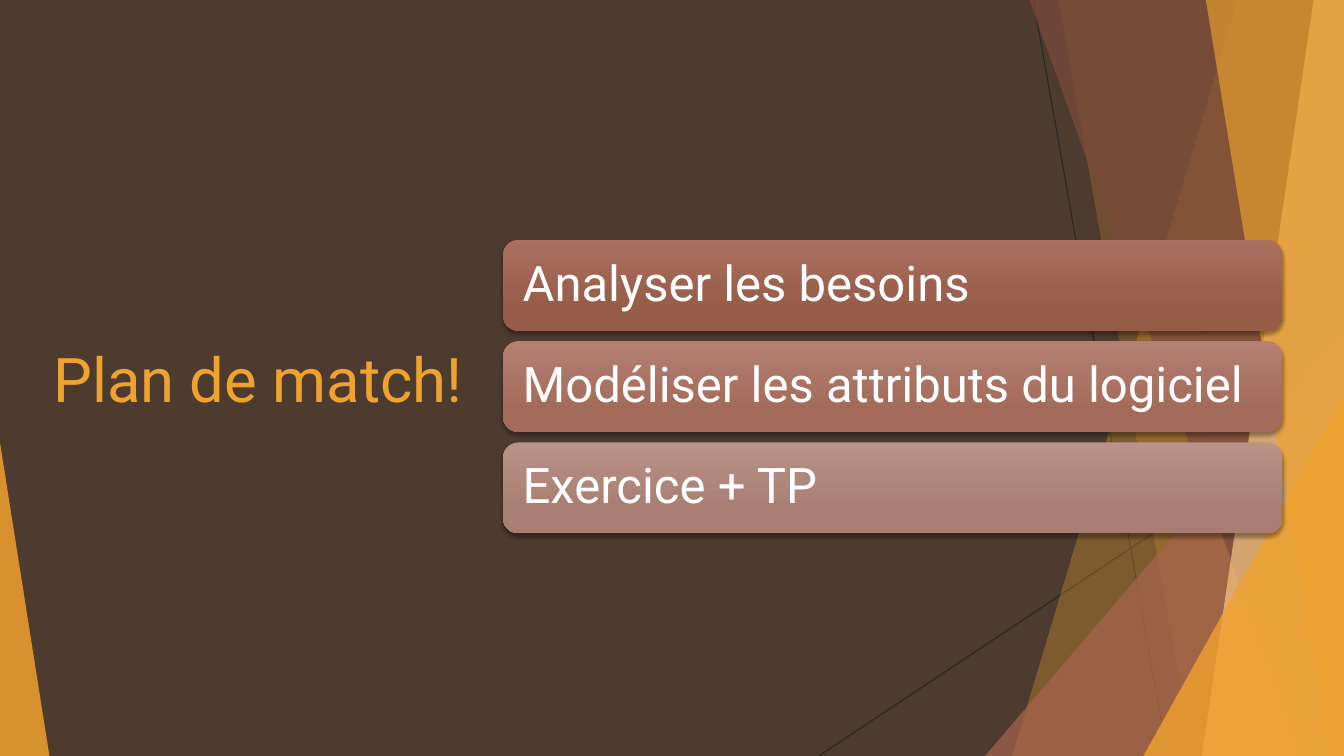
from dataclasses import dataclass

from lxml import etree
from pptx import Presentation
from pptx.dml.color import RGBColor
from pptx.enum.shapes import MSO_CONNECTOR, MSO_SHAPE
from pptx.enum.text import MSO_ANCHOR, PP_ALIGN
from pptx.oxml.ns import qn
from pptx.util import Inches, Pt

STRAIGHT = MSO_CONNECTOR.STRAIGHT
TRIANGLE = MSO_SHAPE.ISOSCELES_TRIANGLE
ROUNDED = MSO_SHAPE.ROUNDED_RECTANGLE
MIDDLE = MSO_ANCHOR.MIDDLE
LEFT = PP_ALIGN.LEFT
WIDTH, HEIGHT = Inches(13.33), Inches(7.5)


@dataclass(frozen=True)
class Theme:
    """Colours, font and type sizes of the slide."""
    ground: str = "4E3B30"
    amber: str = "F0A22E"
    pale_amber: str = "F6C782"
    rust: str = "A5644E"
    dark_rust: str = "7C4B3B"
    hairline: str = "262626"
    white: str = "FFFFFF"
    shadow: str = "000000"
    font: str = "Roboto"
    title_size: int = 44
    step_size: int = 35


THEME = Theme()
STEPS = [
    ("Analyser les besoins", "AA705F", "975C47"),
    ("Modéliser les attributs du logiciel", "B38072", "A36A59"),
    ("Exercice + TP", "B99288", "A97D71"),
]
STEP_LEFT, STEP_TOP, STEP_WIDTH, STEP_HEIGHT, STEP_PITCH = 37.43, 31.73, 57.99, 12, 13.4


def across(share):
    """Turn a percentage of the slide's width into a length."""
    return round(WIDTH * share / 100)


def down(share):
    """Turn a percentage of the slide's height into a length."""
    return round(HEIGHT * share / 100)


def frame(left, top, width, height):
    """Turn four shares of the slide into a position and size."""
    return across(left), down(top), across(width), down(height)


def assign(target, values):
    """Set each named attribute on the target."""
    for name, value in values.items():
        setattr(target, name, value)


def tint(shape, color, opacity):
    """Give a shape a translucent fill without outline or shadow."""
    shape.shadow.inherit = False
    shape.line.fill.background()
    shape.fill.solid()
    shape.fill.fore_color.rgb = RGBColor.from_string(color)
    swatch = shape.fill._xPr.find(f".//{qn('a:srgbClr')}")
    etree.SubElement(swatch, qn("a:alpha"), val=str(opacity * 1000))


def add_hairline(slide, start_x, start_y, end_x, end_y):
    """Draw a thin dark line between two points."""
    hairline = slide.shapes.add_connector(
        STRAIGHT, across(start_x), down(start_y), across(end_x), down(end_y))
    hairline.line.width = Pt(0.75)
    hairline.line.color.rgb = RGBColor.from_string(THEME.hairline)
    etree.SubElement(hairline._element.spPr, qn("a:effectLst"))


def add_ribbon(slide, top_x, bottom_x, color, opacity):
    """Draw a slanted band that reaches the slide's right edge."""
    outline = slide.shapes.build_freeform(across(top_x), 0)
    outline.add_line_segments(
        [(WIDTH, 0), (WIDTH, HEIGHT), (across(bottom_x), HEIGHT)], close=True)
    tint(outline.convert_to_shape(), color, opacity)


def add_corner(slide, left, top, width, apex, color, opacity):
    """Draw a right triangle that stands on the slide's bottom edge."""
    corner = slide.shapes.add_shape(TRIANGLE, *frame(left, top, width, 100 - top))
    corner.adjustments[0] = apex
    tint(corner, color, opacity)


def write(shape, text, size, color, margin, spacing):
    """Write one left-aligned line in the middle of a shape."""
    text_frame = shape.text_frame
    assign(text_frame, {
        "word_wrap": True, "vertical_anchor": MIDDLE,
        "margin_left": margin, "margin_right": margin,
    })
    paragraph = text_frame.paragraphs[0]
    assign(paragraph, {"text": text, "alignment": LEFT, "line_spacing": spacing})
    font = paragraph.runs[0].font
    assign(font, {"name": THEME.font, "size": Pt(size)})
    font.color.rgb = RGBColor.from_string(color)


def cast_shadow(shape):
    """Put a soft shadow just below a shape."""
    shape.shadow.inherit = False
    effects = shape._element.spPr.find(qn("a:effectLst"))
    shadow = etree.SubElement(
        effects, qn("a:outerShdw"), blurRad=str(Pt(3)), dist=str(Pt(2)),
        dir="5400000", rotWithShape="0")
    color = etree.SubElement(shadow, qn("a:srgbClr"), val=THEME.shadow)
    etree.SubElement(color, qn("a:alpha"), val="35000")


def add_step(slide, row, text, upper, lower):
    """Draw one step of the plan as a shaded bar."""
    bar = slide.shapes.add_shape(ROUNDED, *frame(
        STEP_LEFT, STEP_TOP + row * STEP_PITCH, STEP_WIDTH, STEP_HEIGHT))
    bar.line.fill.background()
    bar.fill.gradient()
    bar.fill.gradient_angle = 270
    for stop, position, color in zip(bar.fill.gradient_stops, (0, 0.78), (upper, lower)):
        stop.position = position
        stop.color.rgb = RGBColor.from_string(color)
    cast_shadow(bar)
    write(bar, text, THEME.step_size, THEME.white, Inches(0.15), 0.9)


def add_backdrop(slide):
    """Draw the hairlines and translucent facets behind the content."""
    add_hairline(slide, 76.89, 0, 86.87, 100)
    add_hairline(slide, 100, 53.73, 60.92, 100)
    add_ribbon(slide, 92.12, 75.32, THEME.amber, 30)
    add_ribbon(slide, 78.77, 88.75, THEME.amber, 20)
    add_corner(slide, 73.29, 44.4, 26.71, 1, THEME.rust, 72)
    add_ribbon(slide, 76.59, 96.85, THEME.dark_rust, 70)
    add_ribbon(slide, 97.75, 89.42, THEME.pale_amber, 70)
    add_ribbon(slide, 89.72, 98.87, THEME.amber, 65)
    add_corner(slide, 85.07, 52.4, 14.93, 1, THEME.amber, 80)
    add_corner(slide, 0, 58.53, 3.68, 0, THEME.amber, 85)


def main():
    """Build the slide and save it."""
    deck = Presentation()
    assign(deck, {"slide_width": WIDTH, "slide_height": HEIGHT})
    slide = deck.slides.add_slide(deck.slide_layouts[6])
    slide.background.fill.solid()
    slide.background.fill.fore_color.rgb = RGBColor.from_string(THEME.ground)
    add_backdrop(slide)
    title = slide.shapes.add_textbox(*frame(3.23, 20.13, 34.21, 59.73))
    write(title, "Plan de match!", THEME.title_size, THEME.amber, Inches(0.1), 1.0)
    for row, step in enumerate(STEPS):
        add_step(slide, row, *step)
    deck.save("out.pptx")


if __name__ == "__main__":
    main()
